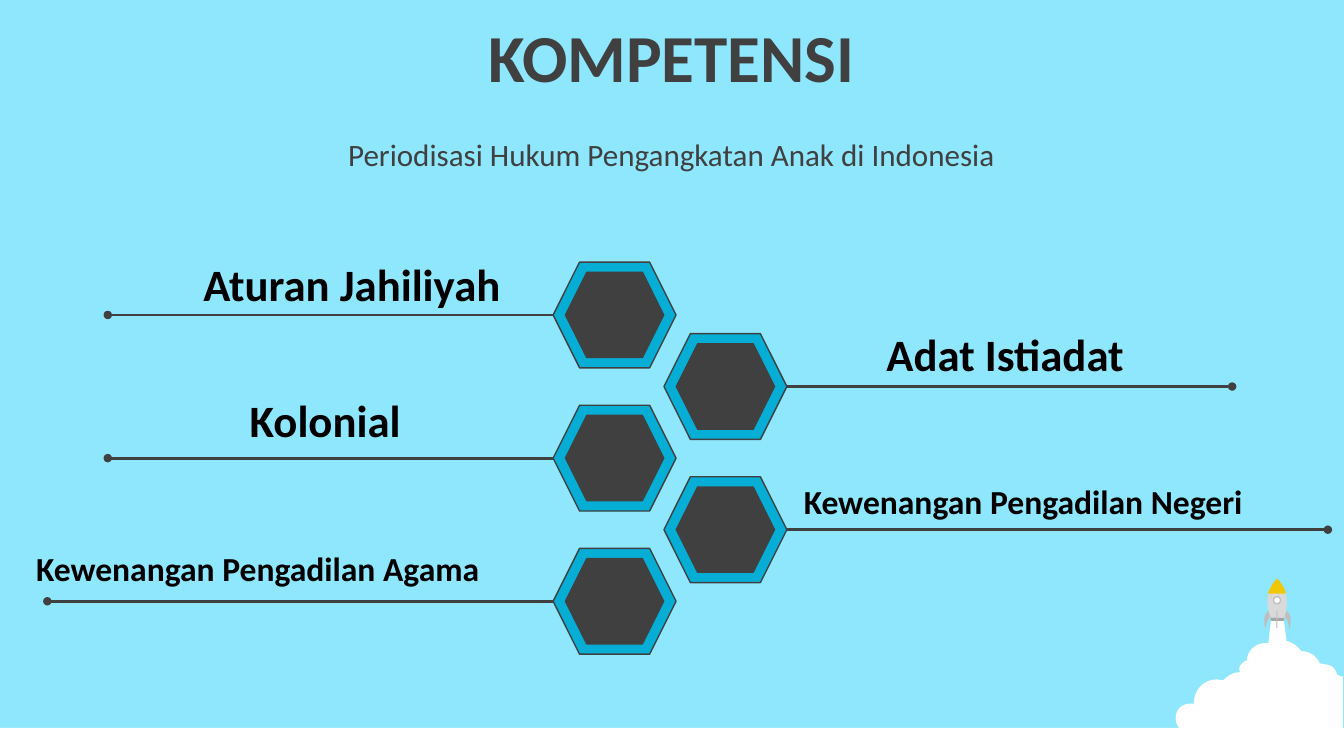
from lxml import etree
from pptx import Presentation
from pptx.dml.color import RGBColor
from pptx.enum import shapes, text
from pptx.oxml.ns import qn
from pptx.util import Inches, Pt

SKY = RGBColor(0x8E, 0xE7, 0xFC)
CYAN = RGBColor(0x06, 0xAE, 0xD5)
DARK = RGBColor(0x40, 0x40, 0x40)
BLACK = RGBColor(0, 0, 0)
WHITE = RGBColor(0xFF, 0xFF, 0xFF)
YELLOW = RGBColor(0xF0, 0xC8, 0x08)
LIGHT_GREY = RGBColor(0xD9, 0xD9, 0xD9)
FIN_GREY = RGBColor(0xBF, 0xBF, 0xBF)
MID_GREY = RGBColor(0xA6, 0xA6, 0xA6)

SLIDE_W, SLIDE_H = 13.34, 7.5
HEX_W, HEX_H = 1.22, 1.05
INNER_W, INNER_H = 0.99, 0.86
COLUMN_STEP, ROW_STEP = 1.1, 0.71

# Outlines: a pair is a straight step, six numbers are a Bezier step.
CLOUD = [(0.95, 0.38), (1.07, 0.38), (1.1, 0.62), (1.11, 0.62),
         (1.16, 0.64, 1.2, 0.66, 1.23, 0.7), (1.25, 0.72),
         (1.33, 0.72, 1.4, 0.77, 1.43, 0.84), (1.47, 0.85),
         (1.54, 0.85, 1.59, 0.89, 1.6, 0.95), (1.64, 0.97), (1.66, 0.97),
         (1.66, 1.56), (0.15, 1.53), (0.06, 1.53, 0, 1.47, 0, 1.38),
         (0, 1.3, 0.06, 1.24, 0.15, 1.24), (0.18, 1.24),
         (0.18, 1.1, 0.28, 1, 0.41, 1), (0.47, 1.01),
         (0.52, 0.96, 0.57, 0.93, 0.63, 0.93), (0.64, 0.92), (0.63, 0.9),
         (0.63, 0.86, 0.67, 0.82, 0.71, 0.81), (0.71, 0.78),
         (0.73, 0.7, 0.8, 0.64, 0.89, 0.64), (0.92, 0.64)]
HULL = [(0.95, 0.42), (0.91, 0.29, 0.86, 0.13, 1.01, 0.01),
        (1.15, 0.14, 1.1, 0.32, 1.07, 0.42)]
NOZZLE = [(0.94, 0.39), (1.08, 0.39), (1.07, 0.42), (0.95, 0.42)]
NOSE = [(1.01, 0), (1.05, 0.05, 1.08, 0.09, 1.09, 0.14), (1.1, 0.15),
        (0.92, 0.15), (0.92, 0.13), (0.94, 0.09, 0.96, 0.04, 1.01, 0)]
FIN = [(0.92, 0.32), (0.94, 0.38), (0.9, 0.41, 0.9, 0.47, 0.89, 0.5),
       (0.88, 0.46, 0.86, 0.36, 0.92, 0.32)]
ROCKET_AXIS = 1.01

# Label, size, label left, label lift above the hexagon top, width, line end
PERIODS = [("Aturan Jahiliyah", 32, 1.92, 0.1, 3.5, 1.07),
           ("Adat Istiadat", 32, 8.7, 0.12, 3.15, 12.23),
           ("Kolonial", 32, 2.38, 0.17, 2.27, 1.07),
           ("Kewenangan Pengadilan Negeri", 24, 7.88, 0.01, 5.3, 13.18),
           ("Kewenangan Pengadilan Agama", 24, 0.26, 0.05, 5.1, 0.47)]


def paint(sp, fill, line=None):
    sp.shadow.inherit = False
    sp.fill.solid()
    sp.fill.fore_color.rgb = fill
    if line is None:
        sp.line.fill.background()
    else:
        sp.line.color.rgb = line
        sp.line.width = Pt(1)


def add_preset(s, kind, x, y, w, h, fill, line=None):
    sp = s.shapes.add_shape(kind, Inches(x), Inches(y), Inches(w), Inches(h))
    paint(sp, fill, line)
    return sp


def flatten(outline, steps=8):
    """Turn the Bezier steps of an outline into short straight ones."""
    points = [outline[0]]
    for step in outline[1:]:
        if len(step) == 2:
            points.append(step)
            continue
        ctrl = [points[-1], step[:2], step[2:4], step[4:]]
        for i in range(1, steps + 1):
            t = i / steps
            weights = ((1 - t) ** 3, 3 * t * (1 - t) ** 2, 3 * t * t * (1 - t), t ** 3)
            points.append(tuple(sum(k * c[axis] for k, c in zip(weights, ctrl))
                                for axis in (0, 1)))
    return points


def add_outline(s, x, y, points, fill):
    points = [(Inches(x + px), Inches(y + py)) for px, py in points]
    builder = s.shapes.build_freeform(*points[0])
    builder.add_line_segments(points[1:], close=True)
    paint(builder.convert_to_shape(), fill)


def add_rocket(s, x, y):
    for outline, fill in ((CLOUD, WHITE), (HULL, LIGHT_GREY),
                          (NOZZLE, MID_GREY), (NOSE, YELLOW)):
        add_outline(s, x, y, flatten(outline), fill)
    add_preset(s, shapes.MSO_SHAPE.OVAL, x + 0.97, y + 0.18, 0.07, 0.07, WHITE, FIN_GREY)
    add_preset(s, shapes.MSO_SHAPE.RECTANGLE, x + 1, y + 0.32, 0.01, 0.17, FIN_GREY)
    fin = flatten(FIN)
    add_outline(s, x, y, fin, FIN_GREY)
    add_outline(s, x, y, [(2 * ROCKET_AXIS - px, py) for px, py in fin], FIN_GREY)


def add_text(s, x, y, w, h, words, frame, para, font, color):
    """Each of frame, para and font is a dict of format values."""
    tf = s.shapes.add_textbox(Inches(x), Inches(y), Inches(w), Inches(h)).text_frame
    tf.word_wrap = True
    p = tf.paragraphs[0]
    r = p.add_run()
    r.text = words
    for target, values in ((tf, frame), (p, para), (r.font, font)):
        for name, value in values.items():
            setattr(target, name, value)
    r.font.name = "Calibri"
    r.font.color.rgb = color


def add_heading(s, x, y, w):
    frame = {"vertical_anchor": text.MSO_ANCHOR.MIDDLE}
    for words, dy, h, size, bold, spacing in (
            ("KOMPETENSI", 0, 0.84, 48, True, 0.9),
            ("Periodisasi Hukum Pengangkatan Anak di Indonesia", 1.17, 0.42, 22.2, False, 0.8)):
        add_text(s, x, y + dy, w, h, words, frame,
                 {"alignment": text.PP_ALIGN.CENTER, "line_spacing": spacing},
                 {"size": Pt(size), "bold": bold}, DARK)


def add_hexagon(s, x, y):
    hexagon = shapes.MSO_SHAPE.HEXAGON
    add_preset(s, hexagon, x, y, HEX_W, HEX_H, CYAN, DARK)
    add_preset(s, hexagon, x + (HEX_W - INNER_W) / 2, y + (HEX_H - INNER_H) / 2,
               INNER_W, INNER_H, DARK)


def add_dotted_line(s, x, y, end_x):
    """Horizontal line that ends in a dot."""
    line = s.shapes.add_connector(shapes.MSO_CONNECTOR.STRAIGHT, Inches(x), Inches(y),
                                  Inches(end_x), Inches(y))
    line.line.color.rgb = DARK
    line.line.width = Pt(2)
    etree.SubElement(line.line._get_or_add_ln(), qn("a:tailEnd"), type="oval")
    etree.SubElement(line._element.spPr, qn("a:effectLst"))


def add_periods(s, x, y):
    for i, (label, size, label_x, lift, w, end_x) in enumerate(PERIODS):
        on_right = i % 2
        hex_x, hex_y = x + on_right * COLUMN_STEP, y + i * ROW_STEP
        add_hexagon(s, hex_x, hex_y)
        add_dotted_line(s, hex_x + on_right * HEX_W, hex_y + HEX_H / 2, end_x)
        add_text(s, label_x, hex_y - lift, w, size / 50, label, {}, {},
                 {"size": Pt(size), "bold": True}, BLACK)


def main():
    prs = Presentation()
    prs.slide_width, prs.slide_height = Inches(SLIDE_W), Inches(SLIDE_H)
    s = prs.slides.add_slide(prs.slide_layouts[6])
    s.background.fill.solid()
    s.background.fill.fore_color.rgb = SKY
    add_preset(s, shapes.MSO_SHAPE.RECTANGLE, 0, 7.22, SLIDE_W, SLIDE_H - 7.22, WHITE)
    add_rocket(s, 11.67, 5.74)
    add_heading(s, 0, 0.18, 13.33)
    add_periods(s, 5.49, 2.6)
    prs.save("out.pptx")


if __name__ == "__main__":
    main()
